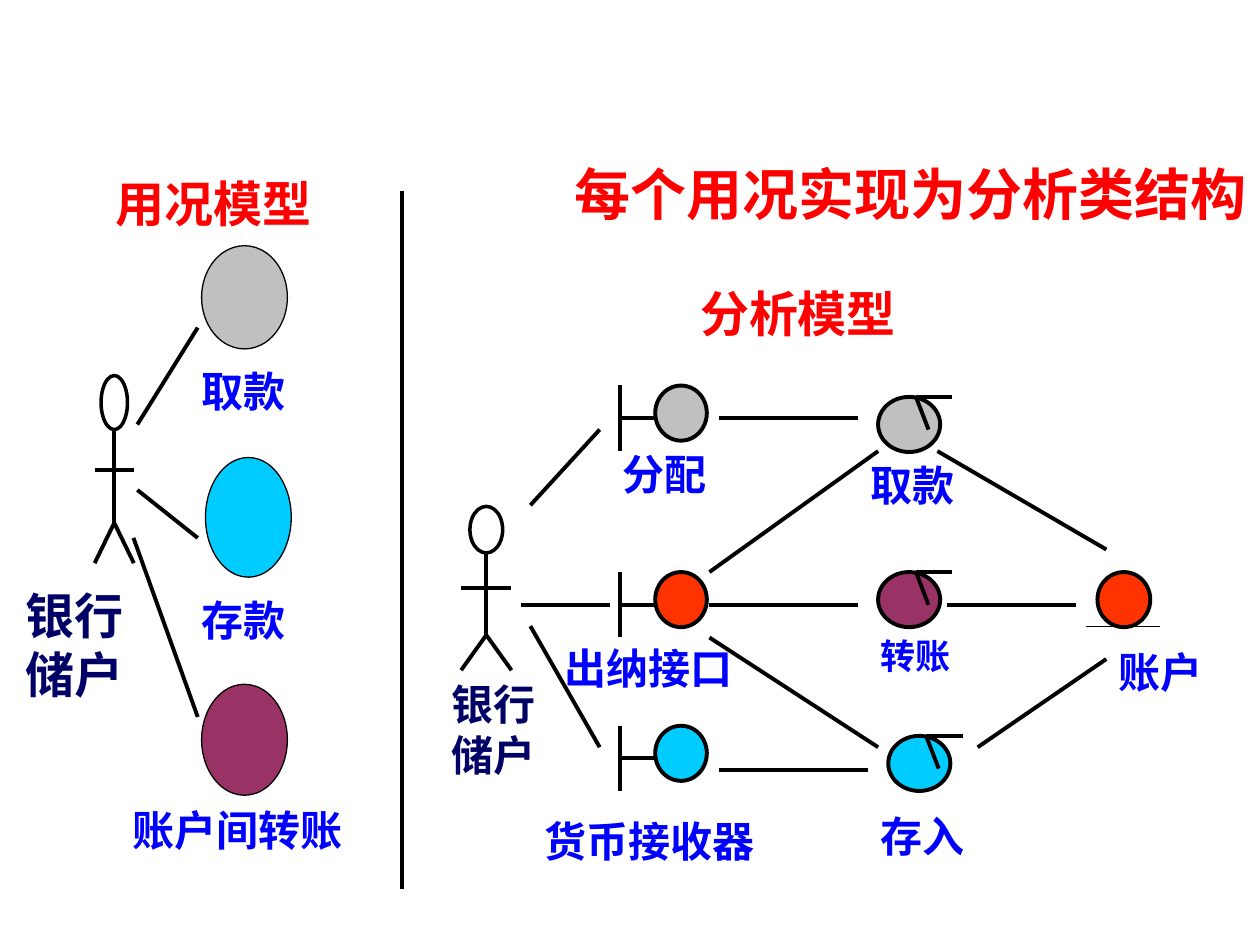
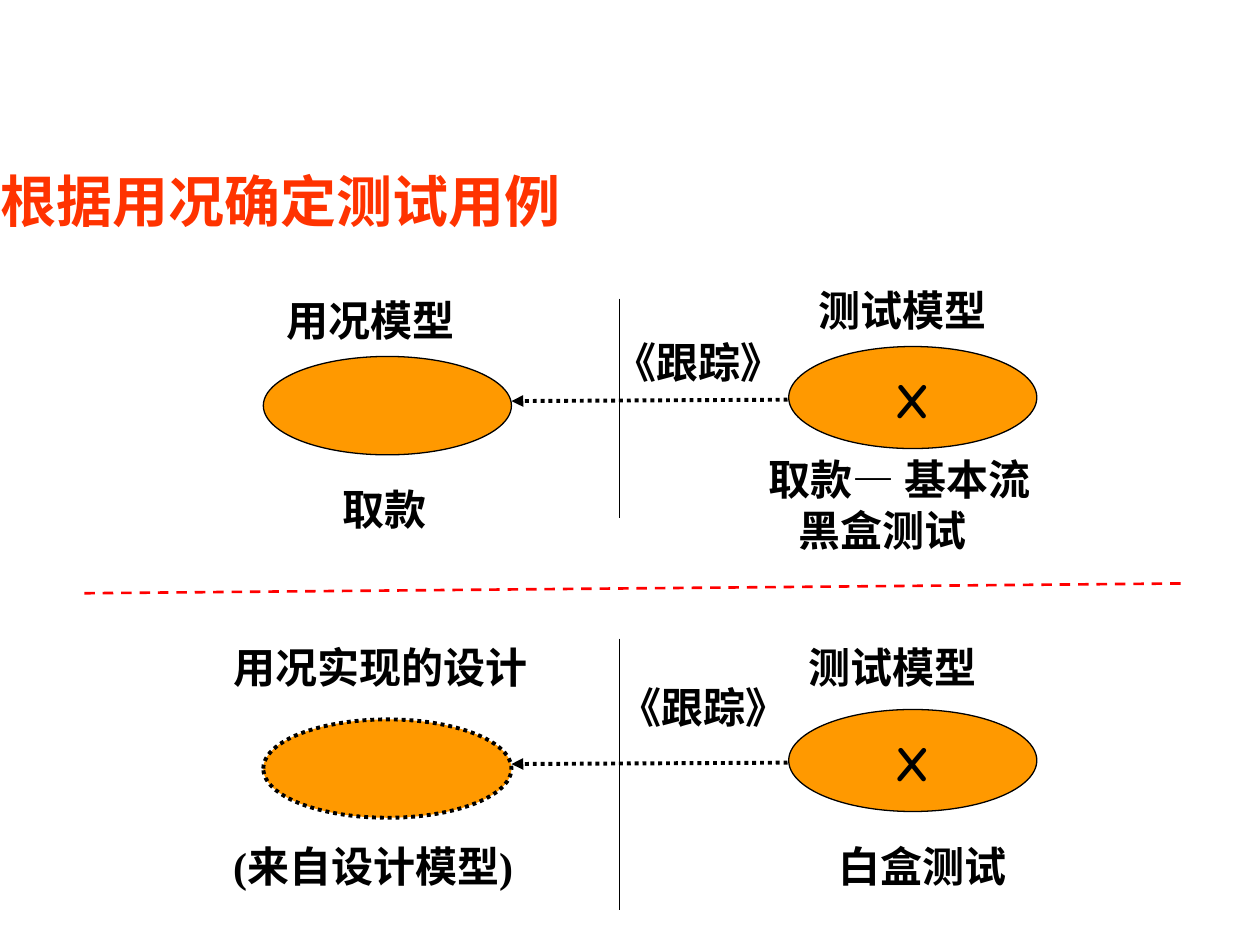
from lxml.etree import SubElement
from pptx import Presentation
from pptx.dml.color import RGBColor
from pptx.enum.dml import MSO_LINE_DASH_STYLE as Dash
from pptx.enum.shapes import MSO_CONNECTOR as Connector, MSO_SHAPE as Shape
from pptx.enum.text import MSO_ANCHOR as Anchor, MSO_AUTO_SIZE as AutoSize, PP_ALIGN as Align
from pptx.oxml.ns import qn
from pptx.util import Pt

BLACK, RED, BLUE, NAVY = "000000", "FF0000", "0000FF", "000066"
GRAY, CYAN, PLUM, SCARLET, ORANGE = "C0C0C0", "00CCFF", "993366", "FF3300", "FF9900"
SERIF, COMIC, SANS = "Times New Roman", "Comic Neue", "Noto Sans CJK SC"
TITLE_ONLY = 5
BOLD_LINE = 2.25
THIN_LINE = 0.75
SIDE_INSET = 7.2


def color(value):
    return RGBColor.from_string(value)


def place(left, top, width, height):
    return Pt(left), Pt(top), Pt(width), Pt(height)


def write(frame, lines, size, font, ink, align=Align.LEFT, inset=0, anchor=Anchor.TOP):
    frame.word_wrap = True
    frame.auto_size = AutoSize.NONE
    frame.vertical_anchor = anchor
    frame.margin_left = frame.margin_right = Pt(inset)
    frame.margin_top, frame.margin_bottom = Pt(5), Pt(3.6)
    for index, (text, indent) in enumerate(lines):
        paragraph = frame.add_paragraph() if index else frame.paragraphs[0]
        paragraph.alignment = align
        paragraph.line_spacing = Pt(size * 1.2)
        if indent:
            paragraph._p.get_or_add_pPr().set("marL", str(Pt(indent)))
        run = paragraph.add_run()
        run.text = text
        run.font.size = Pt(size)
        run.font.bold = True
        run.font.color.rgb = color(ink)
        run.font.name = font
        SubElement(run._r.get_or_add_rPr(), qn("a:ea"), typeface=SANS)


def titled_slide(deck, text, box, ink, align, inset):
    slide = deck.slides.add_slide(deck.slide_layouts[TITLE_ONLY])
    title = slide.shapes.title
    title.left, title.top, title.width, title.height = place(*box)
    write(title.text_frame, [(text, 0)], 32, SERIF, ink, align, inset, Anchor.MIDDLE)
    return slide


def label(slide, text, box, size=24, font=SERIF, ink=BLACK, **style):
    lines = [(text, 0)] if isinstance(text, str) else text
    write(slide.shapes.add_textbox(*place(*box)).text_frame, lines, size, font, ink, **style)


def oval(slide, box, fill=None, weight=THIN_LINE, dash=None):
    shape = slide.shapes.add_shape(Shape.OVAL, *place(*box))
    shape.shadow.inherit = False
    if fill:
        shape.fill.solid()
        shape.fill.fore_color.rgb = color(fill)
    else:
        shape.fill.background()
    shape.line.color.rgb = color(BLACK)
    shape.line.width = Pt(weight)
    if dash:
        shape.line.dash_style = dash
    return shape


def line(slide, x1, y1, x2, y2, weight=BOLD_LINE, ink=BLACK, dash=None, arrow=False):
    link = slide.shapes.add_connector(Connector.STRAIGHT, *place(x1, y1, x2, y2))
    link.line.color.rgb = color(ink)
    link.line.width = Pt(weight)
    if dash:
        link.line.dash_style = dash
    properties = link._element.spPr
    if arrow:
        SubElement(properties.find(qn("a:ln")), qn("a:tailEnd"), type="triangle")
    SubElement(properties, qn("a:effectLst"))


def actor(slide, center, head_top, head_width, neck, arms, hip, feet, reach):
    oval(slide, (center - head_width / 2, head_top, head_width, neck - head_top), weight=2)
    line(slide, center - reach, arms, center + reach, arms)
    line(slide, center, neck, center, hip)
    for side in (-reach, reach):
        line(slide, center + side, feet, center, hip)


def boundary_class(slide, top, fill):
    oval(slide, (374.4, top, 29.5, 31.5), fill, BOLD_LINE)
    line(slide, 354.2, top, 354.2, top + 37.4)
    line(slide, 373.7, top + 18.7, 354.2, top + 18.7)


def control_class(slide, left, top, fill):
    oval(slide, (left, top, 35.5, 31.5), fill, BOLD_LINE)
    line(slide, left + 21.6, top, left + 42.5, top)
    line(slide, left + 21.6, top, left + 28.8, top + 18.7)


def entity_class(slide, left, top, fill):
    oval(slide, (left, top, 30.2, 31.5), fill, BOLD_LINE)
    line(slide, left - 6.5, top + 31, left + 36, top + 31, THIN_LINE)


def use_case_model(slide):
    label(slide, "用况模型", (54, 94.3, 136, 41), 28, ink=RED,
          align=Align.CENTER, inset=SIDE_INSET)
    for left, top, height, fill in [
        (115.2, 140.4, 59, GRAY), (117.4, 261.4, 68.4, CYAN), (115.2, 391, 63.4, PLUM),
    ]:
        oval(slide, (left, top, 49, height), fill)
    for text, left, top, width in [
        ("取款", 115.2, 203.8, 52), ("存款", 115.2, 334.8, 52), ("账户间转账", 70.6, 455, 130.3),
    ]:
        label(slide, text, (left, top, width, 36), font=SANS, ink=BLUE, align=Align.CENTER
              if width > 100 else Align.LEFT)
    actor(slide, 65.3, 214.6, 15.1, 245.5, 268.6, 298.8, 321.8, 11.2)
    for ends in [
        (78.5, 242.6, 113, 187.2), (78.5, 280, 113, 307.4), (76.3, 307.4, 113, 409.7),
    ]:
        line(slide, *ends)
    label(slide, "银行储户", (14.4, 329.8, 62.6, 75), 28, COMIC, NAVY)


def analysis_model(slide):
    label(slide, "分析模型", (388, 157, 136, 41), 28, ink=RED,
          align=Align.CENTER, inset=SIDE_INSET)
    actor(slide, 277.9, 289.4, 18.7, 316, 336.2, 362.9, 383, 14.4)
    for top, fill in [(220.3, GRAY), (326.9, SCARLET), (414.7, CYAN)]:
        boundary_class(slide, top, fill)
    for left, top, fill in [
        (501.8, 226.8, GRAY), (501.8, 326.9, PLUM), (507.6, 420.5, CYAN),
    ]:
        control_class(slide, left, top, fill)
    entity_class(slide, 627.1, 326.9, SCARLET)
    for ends in [
        (303.1, 288.7, 342.7, 245.5), (298, 345.6, 348.5, 345.6), (342.7, 427, 303.1, 357.8),
        (411.1, 239, 490.3, 239), (405.4, 345.6, 490.3, 345.6), (411.1, 440, 496, 440),
        (405.4, 326.9, 501.8, 257.8), (405.4, 364.3, 501.8, 427),
        (541.4, 345.6, 614.9, 345.6), (535.7, 257.8, 632.2, 314), (558.7, 427, 632.2, 376.6),
    ]:
        line(slide, *ends)
    for text, left, top, width, size, font in [
        ("取款", 490.3, 257.8, 63, 24, SANS),
        ("转账", 496, 357.8, 56, 20, COMIC),
        ("存入", 496, 458, 68, 24, SANS),
        ("账户", 632.2, 364.3, 63, 24, COMIC),
        ("出纳接口", 315.4, 362.2, 112, 24, COMIC),
        ("分配", 348.5, 251.3, 63, 24, COMIC),
        ("货币接收器", 303.8, 460.8, 142, 24, COMIC),
    ]:
        label(slide, text, (left, top, width, size * 1.5), size, font, BLUE, inset=SIDE_INSET)
    label(slide, "银行储户", (257.8, 383, 57, 65), font=COMIC, ink=NAVY)


def trace(slide, top, divider_top, divider_bottom, use_case_line, labels):
    weight, dash = use_case_line
    oval(slide, (150.5, top + 5.7, 141.8, 56.2), ORANGE, weight, dash)
    test_case = oval(slide, (450.7, top, 141.8, 58.3), ORANGE)
    write(test_case.text_frame, [("X", 0)], 28, COMIC, BLACK,
          Align.CENTER, anchor=Anchor.MIDDLE)
    line(slide, 450, top + 30.4, 292.3, top + 31.2, dash=Dash.ROUND_DOT, arrow=True)
    line(slide, 354.2, divider_top, 354.2, divider_bottom, THIN_LINE)
    for text, *box in labels:
        label(slide, text, box)


def main():
    deck = Presentation()
    deck.slide_width, deck.slide_height = Pt(720), Pt(540)

    realization = titled_slide(deck, "每个用况实现为分析类结构", (292.3, 86.4, 427.7, 46),
                               RED, Align.RIGHT, SIDE_INSET)
    use_case_model(realization)
    line(realization, 229.7, 109.4, 229.7, 508.3, 2)
    analysis_model(realization)

    testing = titled_slide(deck, "根据用况确定测试用例", (0, 90.7, 612, 46),
                           SCARLET, Align.LEFT, 0)
    trace(testing, 198, 170.6, 296, (THIN_LINE, None), [
        ("用况模型", 164, 163.4, 108, 36),
        ("测试模型", 468, 157.7, 108, 36),
        ("取款", 195.8, 271.4, 62.6, 36),
        ([("取款— 基本流", 0), ("黑盒测试", 17)], 439.2, 254.2, 164.2, 65),
        ("《跟踪》", 351.4, 187.2, 107.3, 36),
    ])
    trace(testing, 405.4, 365, 519.8, (BOLD_LINE, Dash.ROUND_DOT), [
        ("用况实现的设计", 133.2, 361.4, 187.2, 36),
        ("测试模型", 462.2, 361.4, 108, 36),
        ("(来自设计模型)", 133.2, 475.2, 160, 65),
        ("白盒测试", 479, 475.2, 108, 36),
        ("《跟踪》", 354.2, 384.5, 107.3, 36),
    ])
    line(testing, 48.2, 339, 677.5, 333.4, 1.5, RED, Dash.DASH)
    deck.save("out.pptx")


if __name__ == "__main__":
    main()
